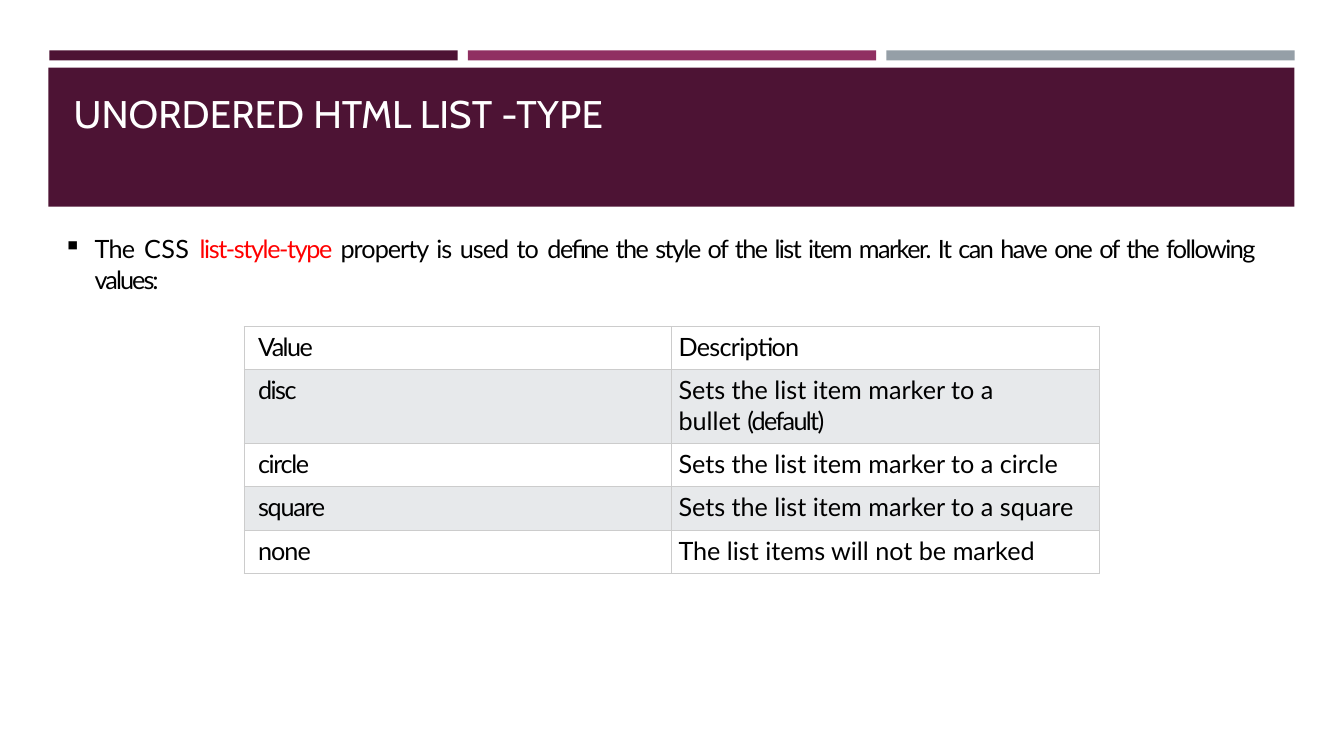
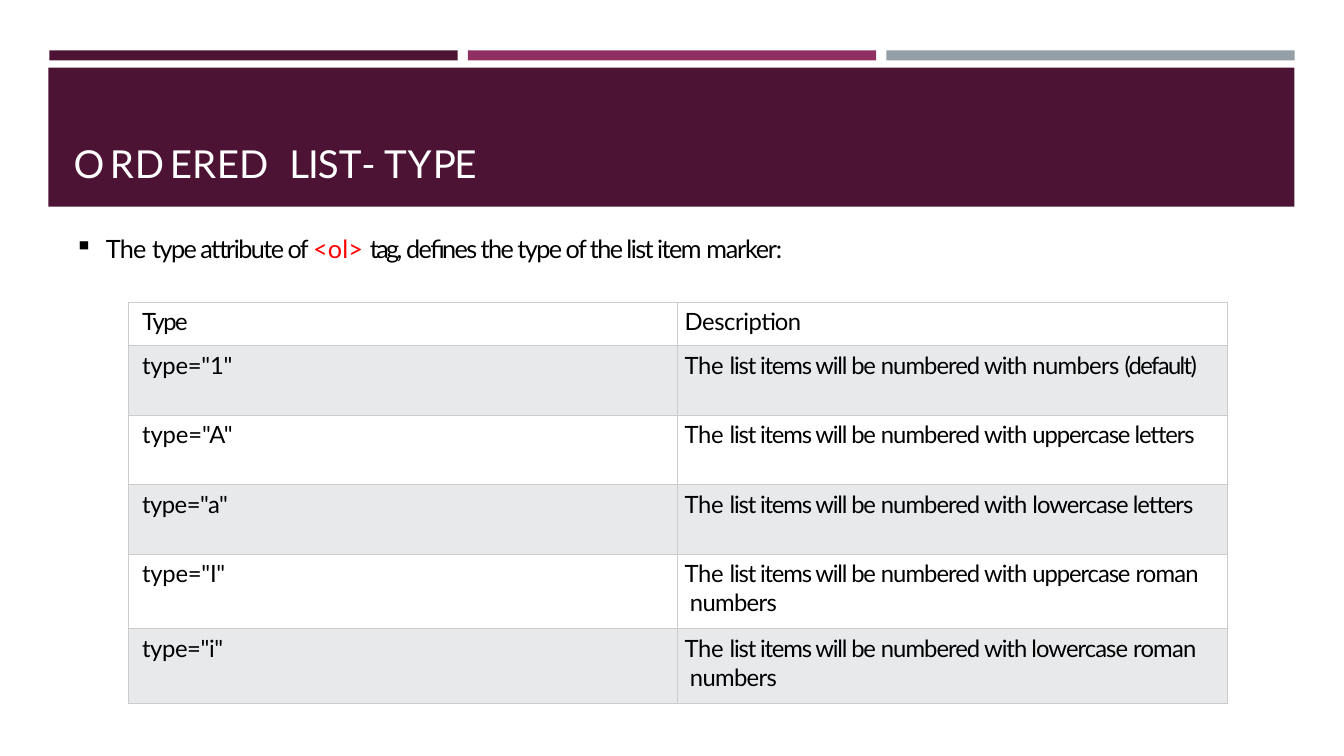
from pptx import Presentation
from pptx.dml.color import RGBColor
from pptx.enum import shapes, text
from pptx.oxml import parse_xml
from pptx.oxml.ns import nsdecls
from pptx.util import Inches, Pt

COLORS = {
    "plum": "4D1334", "magenta": "903062", "slate": "959FA7",
    "white": "FFFFFF", "black": "000000", "red": "FF0000",
    "stripe": "E7E9EB", "border": "CCCCCC",
}
BAR_LEFT, BAR_WIDTH, BAR_STEP = 0.49, 4.05, 4.15
BORDER_XML = (
    '<a:{side} {ns} w="9525"><a:solidFill><a:srgbClr val="{color}"/>'
    "</a:solidFill></a:{side}>"
)


def rgb(name):
    return RGBColor.from_string(COLORS[name])


def add_runs(p, runs, size, font="Lato", color="black"):
    """Add (text, letter spacing in points[, colour]) runs; "\\n" breaks the line."""
    for content, spacing, *own_color in runs:
        if content == "\n":
            p.add_line_break()
            continue
        r = p.add_run()
        r.text = content
        r.font.size = Pt(size)
        r.font.name = font
        r.font.color.rgb = rgb(own_color[0] if own_color else color)
        r._r.get_or_add_rPr().set("spc", str(round(spacing * 100)))


numbered = [("The ", -0.2), ("list items will be ", -0.85), ("numbered with ", -0.7)]
roman = [("roman", -0.6), ("\n", 0), (" numbers", -0.5)]

SLIDES = [
    {
        "title": [("UNORDERED ", 0.1), ("HTML ", -0.1), ("LIST ", 0.1), ("-TYPE", 0.2)],
        "title_font": "Cabin",
        "title_inset": 0.22,
        "body_box": (0.61, 2.31, 11.83, 0.63),
        "body": [
            ("The ", -0.5), ("CSS ", 0.3), ("list-style-type ", -1, "red"),
            ("property is used to ", -0.7),
            ("define the style of the list item marker. ", -1.1),
            ("It can have one of the following ", -1.1), ("values:", -1.4),
        ],
        "table_at": (2.42, 3.24),
        "column": 4.24,
        "heights": [0.43, 0.73, 0.43, 0.43, 0.43],
        "size": 18,
        "rows": [
            ([("Value", -1.1)], [("Description", -0.5)]),
            ([("disc", -1.1)],
             [("Sets the list item marker to a", 0), ("\n", 0),
              ("bullet ", 0), ("(default)", -1.2)]),
            ([("circle", -1)], [("Sets the list item marker to a circle", 0)]),
            ([("square", -0.9)], [("Sets the list item marker to a square", 0)]),
            ([("none", -0.7)], [("The list items will not be marked", 0)]),
        ],
    },
    {
        "title": [
            ("O", 4), ("R", 0.5), ("D", 4.1), ("E", -0.5), ("R", 0.5), ("E", -0.5),
            ("D ", 4), ("LIS", -0.7), ("T", -4), ("- ", -1.1), ("TY", 0.7), ("PE", -1),
        ],
        "title_font": "Lato",
        "title_inset": 0.72,
        "body_box": (0.72, 2.31, 7.51, 0.33),
        "body": [
            ("The ", -0.5), ("type attribute of ", -1.1), ("<ol> ", 0.1, "red"),
            ("tag, ", -1.9), ("defines the type of the list item ", -1.1),
            ("marker:", -0.9),
        ],
        "table_at": (1.27, 3),
        "column": 5.45,
        "heights": [0.43, 0.69, 0.69, 0.69, 0.74, 0.74],
        "size": 17,
        "rows": [
            ([("Type", -1.1)], [("Description", -0.3)]),
            ([('type="1"', -0.2)], numbered + [("numbers ", -0.5), ("(default)", -1.2)]),
            ([('type="A"', -0.1)], numbered + [("uppercase letters", -0.8)]),
            ([('type="a"', -0.4)], numbered + [("lowercase letters", -0.75)]),
            ([('type="I"', -0.2)], numbered + [("uppercase ", -0.8)] + roman),
            ([('type="i"', -0.3)], numbered + [("lowercase ", -0.7)] + roman),
        ],
    },
]

prs = Presentation()
prs.slide_width, prs.slide_height = Inches(13.33), Inches(7.5)

for content in SLIDES:
    s = prs.slides.add_slide(prs.slide_layouts[6])

    # Colour bars and title band
    boxes = [
        (BAR_LEFT + i * BAR_STEP, 0.5, BAR_WIDTH, 0.1, color)
        for i, color in enumerate(("plum", "magenta", "slate"))
    ]
    boxes.append((0.48, 0.67, 12.36, 1.38, "plum"))
    for *box, color in boxes:
        sp = s.shapes.add_shape(shapes.MSO_SHAPE.RECTANGLE, *map(Inches, box))
        sp.shadow.inherit = False
        sp.fill.solid()
        sp.fill.fore_color.rgb = rgb(color)
        sp.line.fill.background()

    # Title, in the band drawn last
    tf = sp.text_frame
    tf.word_wrap = True
    tf.vertical_anchor = text.MSO_ANCHOR.TOP
    tf.margin_left, tf.margin_top = Inches(0.25), Inches(content["title_inset"])
    tf.margin_right = tf.margin_bottom = 0
    p = tf.paragraphs[0]
    p.alignment = text.PP_ALIGN.LEFT
    add_runs(p, content["title"], 27.5, content["title_font"], "white")

    # Bulleted sentence
    tf = s.shapes.add_textbox(*map(Inches, content["body_box"])).text_frame
    tf.word_wrap = True
    tf.margin_left = tf.margin_right = tf.margin_bottom = 0
    tf.margin_top = Inches(0.01)
    p = tf.paragraphs[0]
    p.alignment = text.PP_ALIGN.JUSTIFY
    pPr = p._p.get_or_add_pPr()
    pPr.set("marL", str(Inches(0.33)))
    pPr.set("indent", str(Inches(-0.31)))
    pPr.append(parse_xml(f'<a:buChar {nsdecls("a")} char="▪"/>'))
    add_runs(p, content["body"], 18)

    # Table of values
    rows, heights, column = content["rows"], content["heights"], content["column"]
    size = map(Inches, (2 * column, sum(heights)))
    table = s.shapes.add_table(
        len(rows), 2, *map(Inches, content["table_at"]), *size).table
    table.first_row = table.horz_banding = False
    for col in table.columns:
        col.width = Inches(column)
    for i, (row, height) in enumerate(zip(rows, heights)):
        table.rows[i].height = Inches(height)
        for j, runs in enumerate(row):
            cell = table.cell(i, j)
            cell.margin_left = Inches((0.14, 0.07)[j])
            cell.margin_top = Inches(0.05)
            cell.margin_right = cell.margin_bottom = 0
            tcPr = cell._tc.get_or_add_tcPr()
            for side in ("lnL", "lnR", "lnT", "lnB"):
                tcPr.append(parse_xml(BORDER_XML.format(
                    side=side, ns=nsdecls("a"), color=COLORS["border"])))
            if i % 2:
                cell.fill.solid()
                cell.fill.fore_color.rgb = rgb("stripe")
            else:
                cell.fill.background()
            add_runs(cell.text_frame.paragraphs[0], runs, content["size"])

prs.save("out.pptx")
